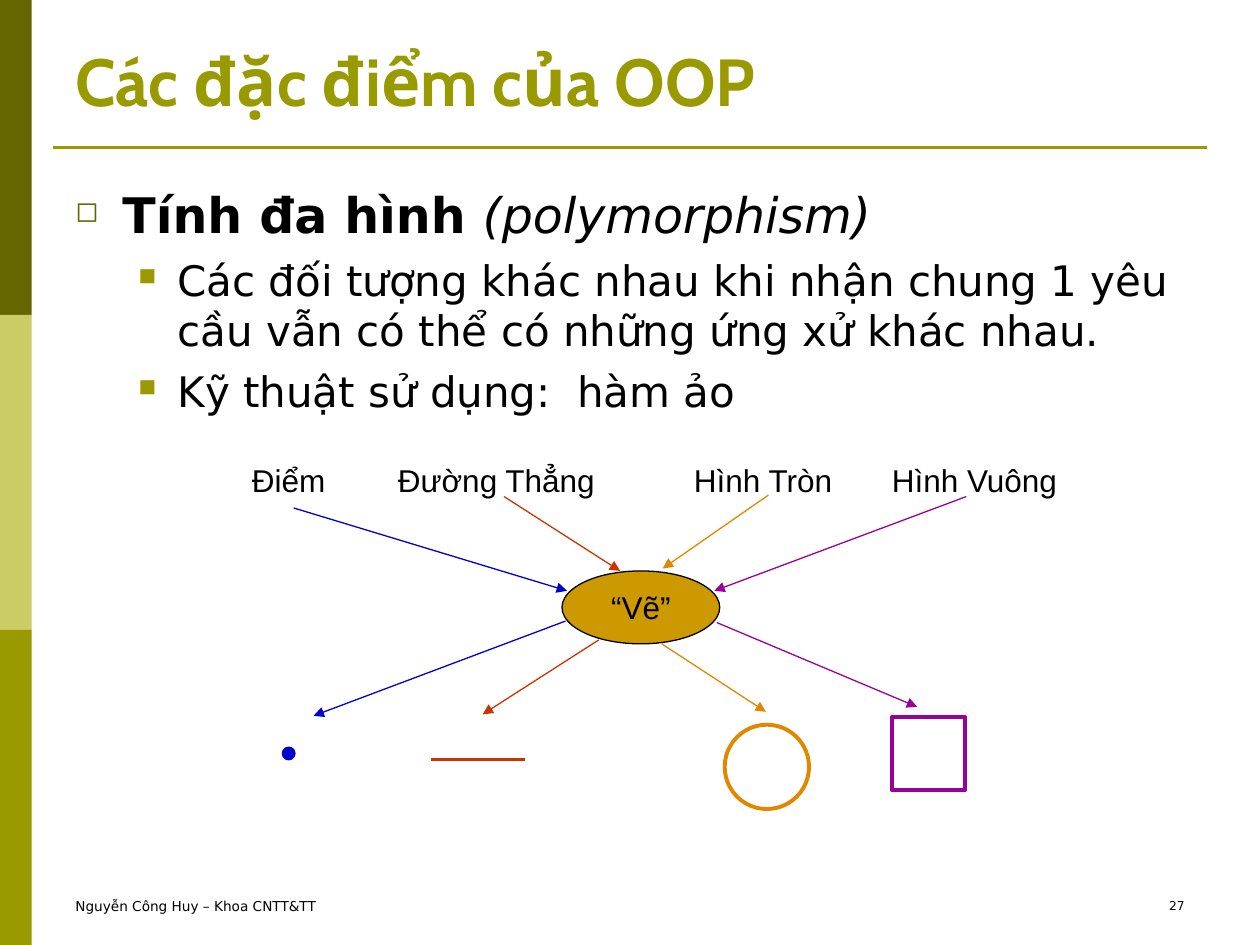
from lxml.etree import SubElement
from pptx import Presentation
from pptx.dml.color import RGBColor
from pptx.enum.shapes import MSO_CONNECTOR, MSO_SHAPE
from pptx.enum.text import MSO_ANCHOR, PP_ALIGN
from pptx.oxml.ns import qn
from pptx.util import Cm, Pt

BLACK, OLIVE, DARK_OLIVE, LIGHT_OLIVE = "000000", "999900", "666600", "CCCC66"
BLUE, RED, ORANGE, PURPLE, GOLD = "0000CC", "CC3300", "E28700", "990099", "CC9900"
BODY_FONT = "DejaVu Sans"

# Class label, its left and width, colour, arrow to the message, arrow to the result
CLASSES = [
    ("Điểm", 4.83, 2.3, BLUE, (5.92, 10.24, 11.43, 11.91), (11.4, 12.52, 6.32, 14.43)),
    ("Đường Thẳng", 7.77, 4.7, RED, (10.16, 10.01, 12.5, 11.51), (12.07, 12.9, 9.73, 14.4)),
    ("Hình Tròn", 13.74, 3.5, ORANGE, (15.49, 9.98, 13.36, 11.46), (13.34, 12.98, 15.44, 14.35)),
    ("Hình Vuông", 17.73, 4.1, PURPLE, (19.48, 10.01, 14.4, 11.91), (14.45, 12.55, 18.49, 14.25)),
]


def color(value):
    return RGBColor.from_string(value)


def add_run(paragraph, text, size, font=BODY_FONT, fill=BLACK, bold=False, italic=False):
    run = paragraph.add_run()
    run.text = text
    run.font.size = Pt(size)
    run.font.name = font
    run.font.color.rgb = color(fill)
    run.font.bold = bold
    run.font.italic = italic


def add_text_box(slide, left, top, width, height, anchor=MSO_ANCHOR.TOP):
    frame = slide.shapes.add_textbox(Cm(left), Cm(top), Cm(width), Cm(height)).text_frame
    frame.word_wrap = True
    frame.vertical_anchor = anchor
    return frame


def add_figure(slide, kind, left, top, width, height, fill=None, line=None, weight=2.25):
    shape = slide.shapes.add_shape(kind, Cm(left), Cm(top), Cm(width), Cm(height))
    shape.shadow.inherit = False
    if fill:
        shape.fill.solid()
        shape.fill.fore_color.rgb = color(fill)
    else:
        shape.fill.background()
    if line:
        shape.line.color.rgb = color(line)
        shape.line.width = Pt(weight)
    else:
        shape.line.fill.background()
    return shape


def add_line(slide, points, stroke, weight, arrow=False):
    connector = slide.shapes.add_connector(MSO_CONNECTOR.STRAIGHT, *map(Cm, points))
    connector.line.color.rgb = color(stroke)
    connector.line.width = Pt(weight)
    if arrow:
        SubElement(connector.get_or_add_ln(), qn("a:tailEnd"), type="triangle")
    SubElement(connector._element.spPr, qn("a:effectLst"))


def set_bullet(paragraph, character, fill, margin, indent):
    properties = paragraph._p.get_or_add_pPr()
    properties.set("marL", str(Cm(margin)))
    properties.set("indent", str(Cm(indent)))
    bullet_color = SubElement(properties, qn("a:buClr"))
    SubElement(bullet_color, qn("a:srgbClr"), val=fill)
    SubElement(properties, qn("a:buSzPct"), val="58000")
    SubElement(properties, qn("a:buChar"), char=character)


def add_frame(slide):
    # Side bars and title rule
    for index, fill in enumerate((DARK_OLIVE, LIGHT_OLIVE, OLIVE)):
        add_figure(slide, MSO_SHAPE.RECTANGLE, 0, 6.35 * index, 0.64, 6.35, fill)
    add_line(slide, (1.07, 2.97, 24.33, 2.97), OLIVE, 1.5)

    # Footer and page number
    footer = add_text_box(slide, 1.27, 17.98, 8.05, 0.64).paragraphs[0]
    add_run(footer, "Nguyễn Công Huy – Khoa CNTT&TT", 7.8)
    number = add_text_box(slide, 18.21, 17.98, 5.92, 0.64).paragraphs[0]
    number.alignment = PP_ALIGN.RIGHT
    add_run(number, "27", 7)


def add_content(slide):
    title = add_text_box(slide, 1.27, 0.64, 23.7, 1.9, MSO_ANCHOR.BOTTOM)
    add_run(title.paragraphs[0], "Các đặc điểm của OOP", 38, "Cabin", OLIVE, bold=True)

    body = add_text_box(slide, 1.27, 3.6, 22.86, 5.08)
    heading = body.paragraphs[0]
    set_bullet(heading, "◻", DARK_OLIVE, 0.95, -0.95)
    add_run(heading, "Tính đa hình ", 28, bold=True)
    add_run(heading, "(polymorphism)", 28, italic=True)
    for text in (
        "Các đối tượng khác nhau khi nhận chung 1 yêu cầu vẫn có thể có những ứng xử khác nhau.",
        "Kỹ thuật sử dụng:  hàm ảo",
    ):
        paragraph = body.add_paragraph()
        paragraph.level = 1
        set_bullet(paragraph, "■", OLIVE, 2.06, -0.79)
        paragraph.space_before = Pt(6)
        add_run(paragraph, text, 24)


def add_diagram(slide):
    # Message shared by all classes
    message = add_figure(slide, MSO_SHAPE.OVAL, 11.33, 11.51, 3.18, 1.47, GOLD, BLACK, 0.75)
    message.text_frame.word_wrap = False
    message.text_frame.vertical_anchor = MSO_ANCHOR.MIDDLE
    paragraph = message.text_frame.paragraphs[0]
    paragraph.alignment = PP_ALIGN.CENTER
    add_run(paragraph, "“Vẽ”", 18, "Arial")

    # Classes with their arrows
    for name, left, width, stroke, request, response in CLASSES:
        label = add_text_box(slide, left, 9.17, width, 1.02)
        add_run(label.paragraphs[0], name, 18, "Arial")
        add_line(slide, request, stroke, 0.75, arrow=True)
        add_line(slide, response, stroke, 0.75, arrow=True)

    # Drawn results
    add_figure(slide, MSO_SHAPE.OVAL, 5.72, 15.09, 0.2, 0.2, BLUE, BLUE)
    add_line(slide, (8.69, 15.31, 10.59, 15.31), RED, 2.25)
    add_figure(slide, MSO_SHAPE.OVAL, 14.61, 14.61, 1.7, 1.7, line=ORANGE)
    add_figure(slide, MSO_SHAPE.RECTANGLE, 17.98, 14.45, 1.48, 1.48, line=PURPLE)


def main():
    presentation = Presentation()
    presentation.slide_width = Cm(25.4)
    presentation.slide_height = Cm(19.05)
    slide = presentation.slides.add_slide(presentation.slide_layouts[6])
    add_frame(slide)
    add_content(slide)
    add_diagram(slide)
    presentation.save("out.pptx")


if __name__ == "__main__":
    main()
